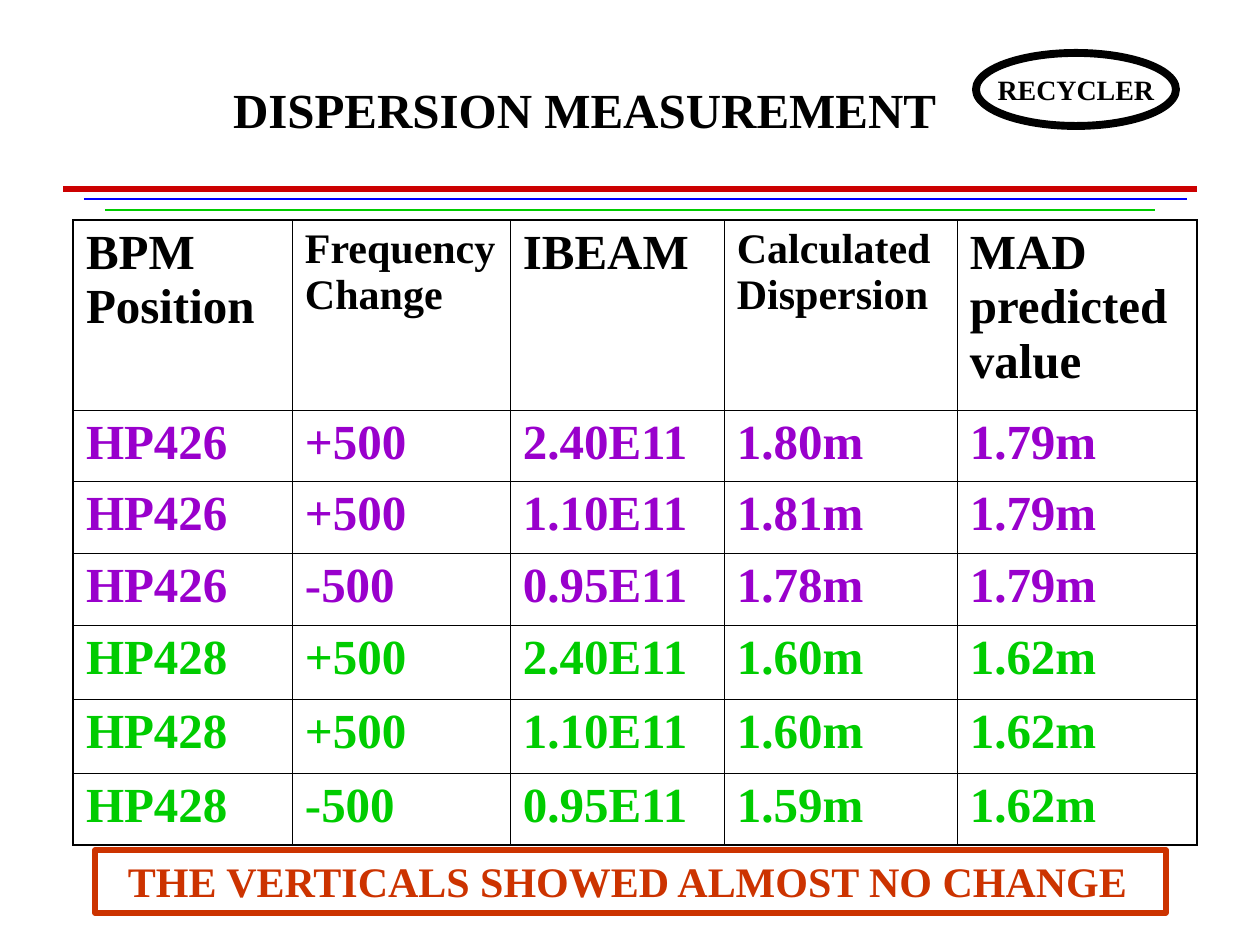
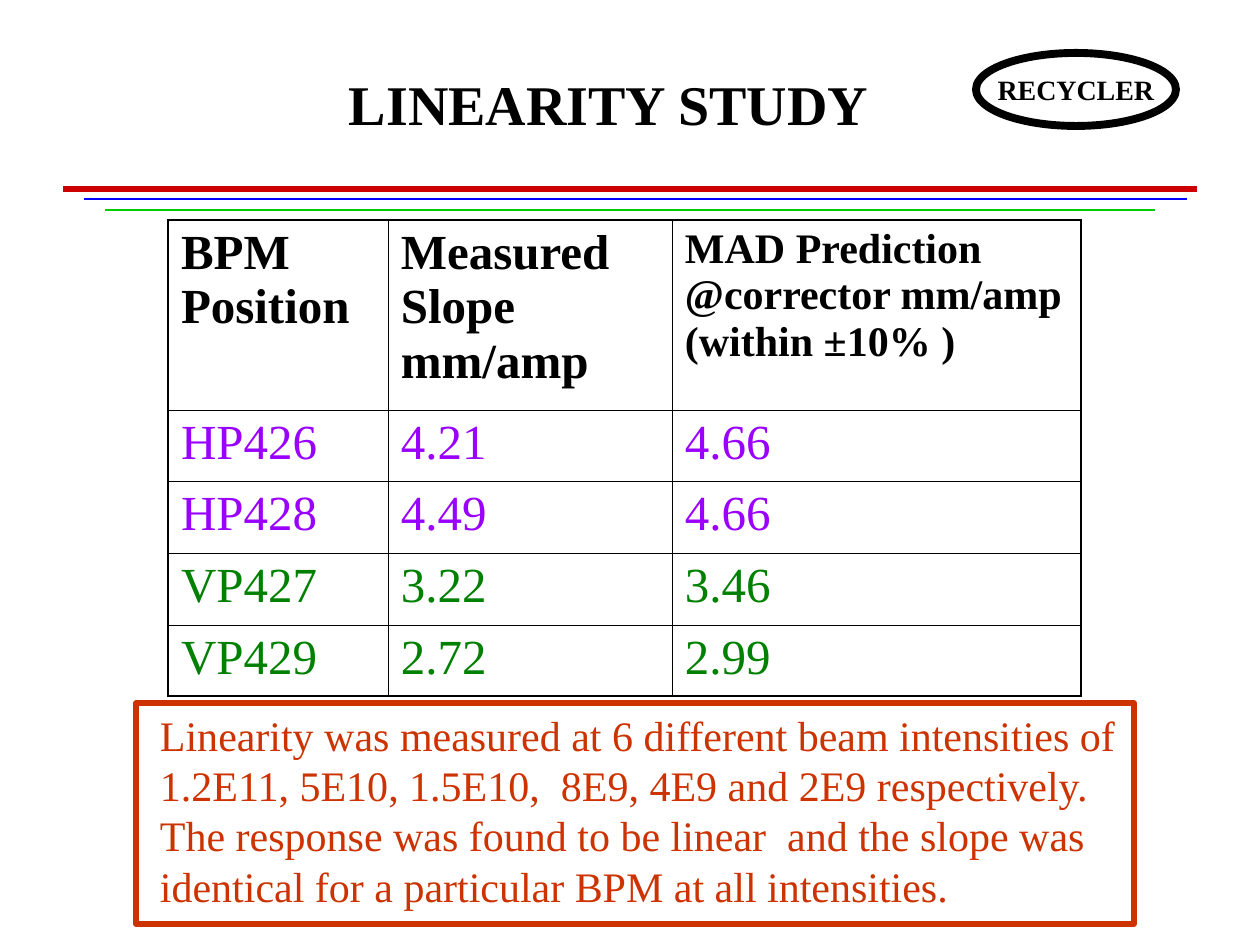
from lxml.etree import SubElement
from pptx import Presentation
from pptx.dml.color import RGBColor
from pptx.enum.shapes import MSO_CONNECTOR as Link, MSO_SHAPE as Shape
from pptx.enum.text import MSO_ANCHOR as Anchor, MSO_AUTO_SIZE as Fit, PP_ALIGN as Align
from pptx.oxml import parse_xml
from pptx.oxml.ns import nsdecls, qn
from pptx.util import Emu, Pt

FONT = "Times New Roman"
BLACK, RED, BLUE, LIME = "000000", "CC0000", "0000FF", "00CC00"
RUST, PLUM, VIOLET, GREEN = "CC3300", "9900CC", "9900FF", "008000"
RULES = [(63, 1197, 189, RED, 3), (84, 1187, 199, BLUE, 1.5), (105, 1155, 210, LIME, 1)]
THICK, THIN = 1.08, 0.45

DISPERSION = [
    ["BPM Position", "Frequency Change", "IBEAM", "Calculated Dispersion", "MAD predicted value"],
    ["HP426", "+500", "2.40E11", "1.80m", "1.79m"],
    ["HP426", "+500", "1.10E11", "1.81m", "1.79m"],
    ["HP426", "-500", "0.95E11", "1.78m", "1.79m"],
    ["HP428", "+500", "2.40E11", "1.60m", "1.62m"],
    ["HP428", "+500", "1.10E11", "1.60m", "1.62m"],
    ["HP428", "-500", "0.95E11", "1.59m", "1.62m"],
]
LINEARITY = [
    ["BPM Position", "Measured Slope mm/amp", "MAD Prediction @corrector mm/amp (within ±10% )"],
    ["HP426", "4.21", "4.66"],
    ["HP428", "4.49", "4.66"],
    ["VP427", "3.22", "3.46"],
    ["VP429", "2.72", "2.99"],
]
FINDING = (
    "Linearity was measured at 6 different beam intensities of 1.2E11, 5E10, 1.5E10,  8E9, "
    "4E9 and 2E9 respectively. The response was found to be linear  and the slope was "
    "identical for a particular BPM at all intensities."
)


def px(n):
    return Emu(round(n * 914400 / 126))


def paint(target, color):
    target.rgb = RGBColor.from_string(color)


def write(frame, text, size, color, bold=True, align=Align.LEFT, pitch=None):
    frame.text = text
    for para in frame.paragraphs:
        para.alignment = align
        para.space_before = Pt(0)
        if pitch:
            para.line_spacing = Pt(size * pitch)
        for run in para.runs:
            run.font.name, run.font.size, run.font.bold = FONT, Pt(size), bold
            paint(run.font.color, color)


def pad(frame, left, top, right, bottom):
    frame.margin_left, frame.margin_top = px(left), px(top)
    frame.margin_right, frame.margin_bottom = px(right), px(bottom)


def outline(slide, kind, box, color, width):
    shape = slide.shapes.add_shape(kind, *map(px, box))
    shape.shadow.inherit = False
    shape.fill.background()
    paint(shape.line.color, color)
    shape.line.width = Pt(width)
    return shape


def rules(slide):
    for left, right, y, color, width in RULES:
        line = slide.shapes.add_connector(Link.STRAIGHT, px(left), px(y), px(right), px(y))
        paint(line.line.color, color)
        line.line.width = Pt(width)
        SubElement(line.element.spPr, qn("a:effectLst"))


def badge(slide, box):
    frame = outline(slide, Shape.OVAL, box, BLACK, 4.5).text_frame
    pad(frame, 0, 0, 0, 0)
    frame.word_wrap = False
    frame.vertical_anchor = Anchor.MIDDLE
    write(frame, "RECYCLER", 16, BLACK, align=Align.CENTER)


def title(slide, text, box, size):
    head = slide.shapes.title
    head.left, head.top, head.width, head.height = map(px, box)
    frame = head.text_frame
    pad(frame, 13, 6, 13, 6)
    frame.word_wrap = True
    frame.auto_size = Fit.NONE
    frame.vertical_anchor = Anchor.TOP
    write(frame, text, size, BLACK, pitch=1.2)


def border(cell, edges):
    props = cell._tc.get_or_add_tcPr()
    for spot, (side, width) in enumerate(edges.items()):
        props.insert(spot, parse_xml(
            f'<a:ln{side} {nsdecls("a")} w="{Pt(width)}"><a:solidFill>'
            f'<a:srgbClr val="{BLACK}"/></a:solidFill></a:ln{side}>'))


def grid(slide, data, left, top, cols, rows, small, inks, bold):
    box = map(px, (left, top, sum(cols), sum(rows)))
    table = slide.shapes.add_table(len(rows), len(cols), *box).table
    table.first_row = table.horz_banding = False
    for col, width in zip(table.columns, cols):
        col.width = px(width)
    for row, height in zip(table.rows, rows):
        row.height = px(height)
    for r, line in enumerate(data):
        for c, text in enumerate(line):
            cell = table.cell(r, c)
            cell.fill.background()
            pad(cell, 13, 6, 13, 6)
            size = 24 if r == 0 and c in small else 28
            write(cell.text_frame, text, size, inks[r], bold or r == 0)
            border(cell, {
                "L": THIN if c else THICK,
                "R": THIN if c < len(cols) - 1 else THICK,
                "T": THIN if r else THICK,
                "B": THIN if r < len(rows) - 1 else THICK,
            })


def note(slide, text, box, indent, bold):
    frame = outline(slide, Shape.RECTANGLE, box, RUST, 3).text_frame
    pad(frame, indent, 6, 0, 6)
    frame.word_wrap = True
    frame.vertical_anchor = Anchor.TOP
    write(frame, text, 24, RUST, bold, pitch=1.2)


def start(deck, text, box, size):
    slide = deck.slides.add_slide(deck.slide_layouts[5])
    rules(slide)
    badge(slide, (976, 53, 200, 73))
    title(slide, text, box, size)
    return slide


def main():
    deck = Presentation()
    deck.slide_width, deck.slide_height = px(1260), px(945)

    slide = start(deck, "DISPERSION MEASUREMENT", (220, 74, 756, 72), 28)
    grid(slide, DISPERSION, 73, 220, [219, 218, 214, 233, 240], [190, 71, 72, 72, 74, 74, 72],
         {1, 3}, [BLACK] + [PLUM] * 3 + [LIME] * 3, True)
    note(slide, "THE VERTICALS SHOWED ALMOST NO CHANGE", (95, 850, 1071, 63), 33, True)

    slide = start(deck, "LINEARITY STUDY", (336, 63, 577, 80), 32)
    grid(slide, LINEARITY, 168, 220, [220, 284, 409], [190, 71, 72, 72, 71],
         {2}, [BLACK] + [VIOLET] * 2 + [GREEN] * 2, False)
    note(slide, FINDING, (136, 703, 998, 221), 24, False)

    deck.save("out.pptx")


if __name__ == "__main__":
    main()
